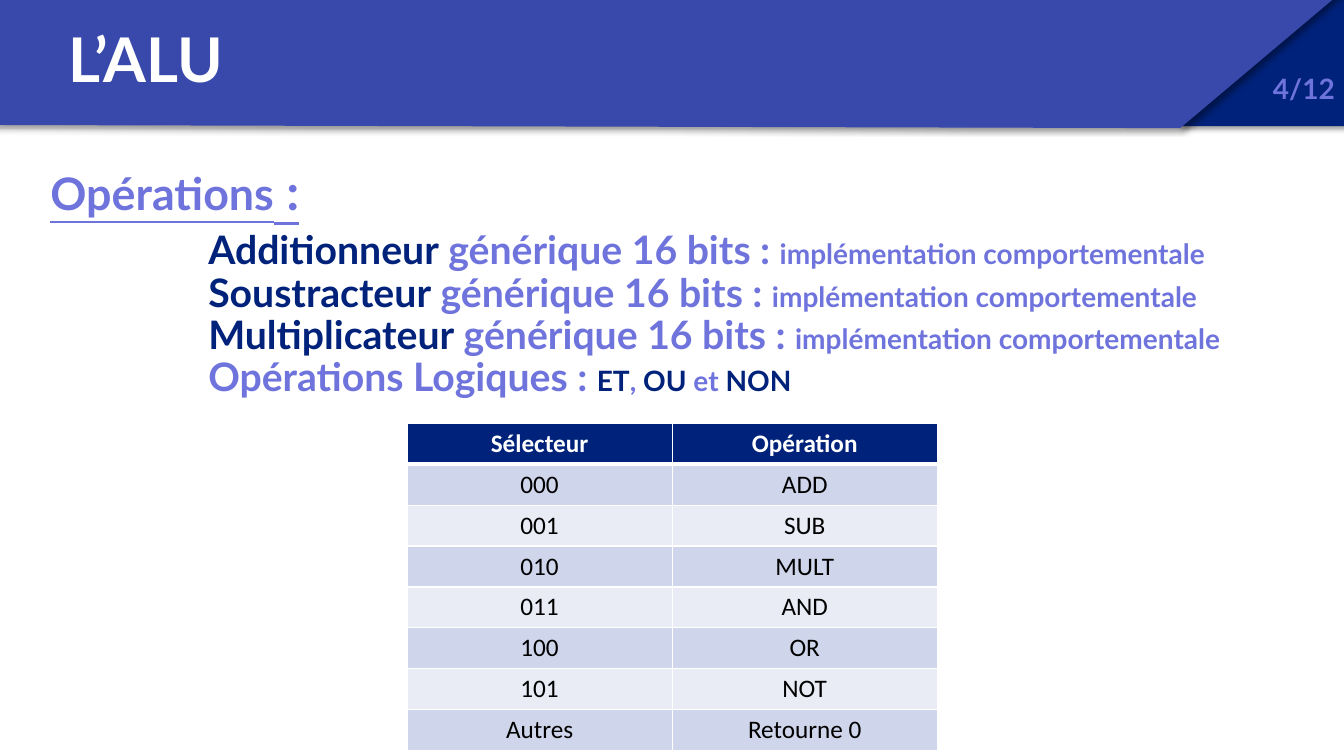
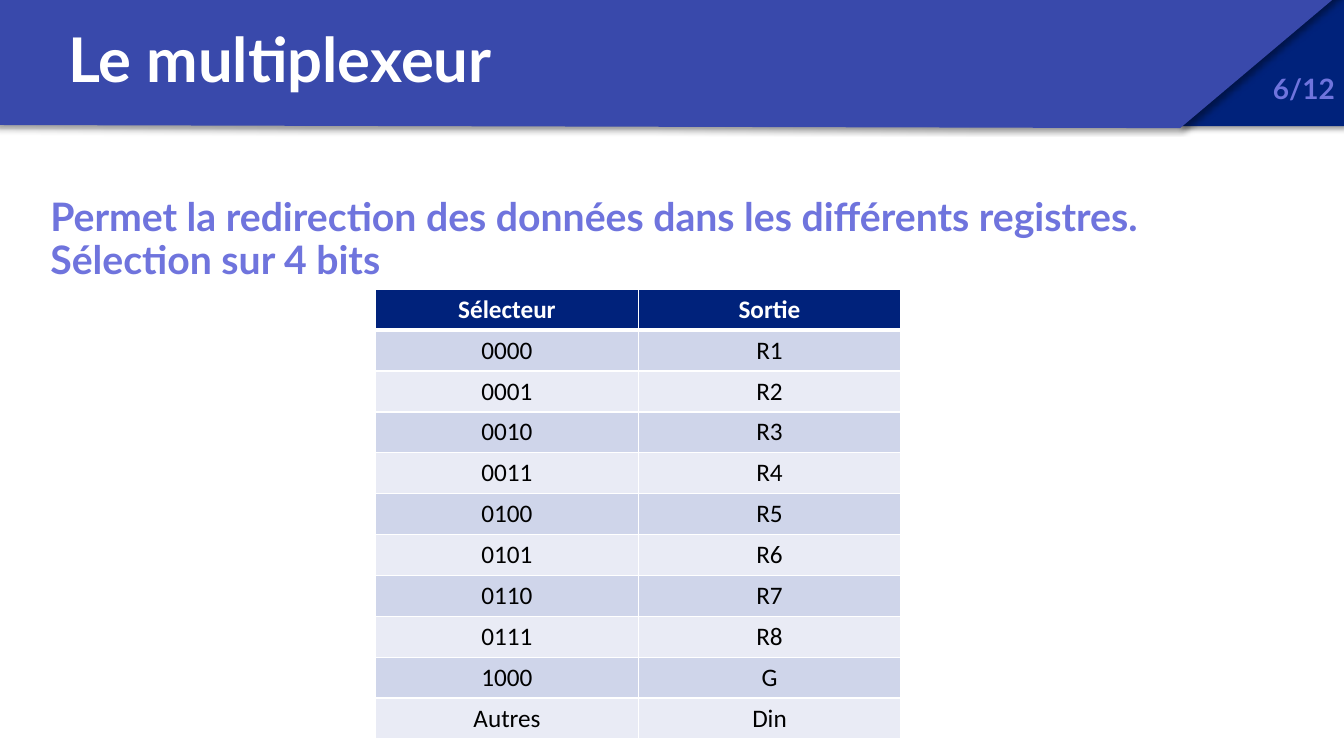
from lxml.etree import SubElement
from pptx import Presentation
from pptx.dml.color import RGBColor
from pptx.enum.text import MSO_ANCHOR, PP_ALIGN
from pptx.oxml import parse_xml
from pptx.oxml.ns import nsdecls, qn
from pptx.enum.shapes import MSO_SHAPE
from pptx.util import Cm, Pt

NAVY = RGBColor(0x00, 0x22, 0x7B)
INDIGO = RGBColor(0x39, 0x49, 0xAB)
LAVENDER = RGBColor(0x6F, 0x74, 0xDD)
WHITE = RGBColor(0xFF, 0xFF, 0xFF)
BLACK = RGBColor(0x00, 0x00, 0x00)
BANDS = (RGBColor(0xCF, 0xD5, 0xEA), RGBColor(0xE9, 0xEB, 0xF5))
HEADING_FONT = "Lato"
TABLE_FONT = "Calibri"
SLIDE_WIDTH, SLIDE_HEIGHT = Cm(33.87), Cm(19.05)
ROW_HEIGHT = Cm(1.03)
PAGE_COUNT = 12


def style_font(font, size=None, color=None, name=None, bold=None):
    if size:
        font.size = Pt(size)
    if color is not None:
        font.color.rgb = color
    if name:
        font.name = name
    if bold is not None:
        font.bold = bold


def paint_with_shadow(shape, color):
    shape.fill.solid()
    shape.fill.fore_color.rgb = color
    shape.line.fill.background()
    shape.shadow.inherit = False
    shape._element.spPr.find(qn("a:effectLst")).append(parse_xml(
        f'<a:outerShdw {nsdecls("a")} blurRad="{Pt(4)}" dist="{Pt(3)}" dir="2700000" '
        'algn="tl" rotWithShape="0"><a:srgbClr val="000000"><a:alpha val="40000"/>'
        '</a:srgbClr></a:outerShdw>'))


def add_text(slide, box, lines, size=None, color=None, align=PP_ALIGN.LEFT):
    frame = slide.shapes.add_textbox(*box).text_frame
    frame.word_wrap = True
    frame.vertical_anchor = MSO_ANCHOR.MIDDLE
    for index, line in enumerate(lines):
        paragraph = frame.paragraphs[0] if index == 0 else frame.add_paragraph()
        paragraph.alignment = align
        paragraph.line_spacing = 0.9
        style_font(paragraph.font, size, color, HEADING_FONT, True)
        for words, run_size, run_color in line:
            run = paragraph.add_run()
            run.text = words
            style_font(run.font, run_size, run_color)
    return frame


def plain(*lines):
    return [[(line, None, None)] for line in lines]


def add_header(slide, title, page):
    corner = slide.shapes.add_shape(
        MSO_SHAPE.RECTANGLE, Cm(29.72), 0, SLIDE_WIDTH - Cm(29.72), Cm(3.18))
    paint_with_shadow(corner, NAVY)
    outline = slide.shapes.build_freeform(Cm(-0.23), Cm(-0.03))
    outline.add_line_segments(
        [(Cm(-0.2), Cm(3.15)), (Cm(29.74), Cm(3.23)), (SLIDE_WIDTH, Cm(-0.25))])
    paint_with_shadow(outline.convert_to_shape(), INDIGO)
    add_text(slide, (Cm(1.47), Cm(-0.03), Cm(29.21), Cm(3.23)), plain(title), 44, WHITE)
    add_text(slide, (Cm(31.27), Cm(1.68), Cm(2.62), Cm(1.19)),
             plain(f"{page}/{PAGE_COUNT}"), 20, LAVENDER, PP_ALIGN.RIGHT)


def add_border(cell, side, width):
    border = SubElement(cell._tc.get_or_add_tcPr(), qn(f"a:{side}"), w=str(Pt(width)))
    fill = SubElement(border, qn("a:solidFill"))
    SubElement(fill, qn("a:srgbClr"), val=str(WHITE))


def add_selector_table(slide, left, top, width, rows):
    table = slide.shapes.add_table(
        len(rows), len(rows[0]), left, top, width, ROW_HEIGHT * len(rows)).table
    for row_index, row in enumerate(rows):
        is_header = row_index == 0
        for column, words in enumerate(row):
            cell = table.cell(row_index, column)
            for side in ("lnL", "lnR", "lnT", "lnB"):
                thick = (is_header and side == "lnB") or (row_index == 1 and side == "lnT")
                add_border(cell, side, 3 if thick else 1)
            cell.fill.solid()
            cell.fill.fore_color.rgb = NAVY if is_header else BANDS[(row_index - 1) % 2]
            cell.text = words
            paragraph = cell.text_frame.paragraphs[0]
            paragraph.alignment = PP_ALIGN.CENTER
            style_font(paragraph.font, 18, WHITE if is_header else BLACK,
                       TABLE_FONT, is_header)


def add_slide(deck, title, page):
    slide = deck.slides.add_slide(deck.slide_layouts[6])
    add_header(slide, title, page)
    return slide


def build_alu(deck):
    slide = add_slide(deck, "L’ALU", 4)
    heading = add_text(slide, (Cm(1.02), Cm(3.89), Cm(7.98), Cm(2.01)),
                       [[("Opérations", 32, None), (" :", 36, None)]], color=LAVENDER)
    heading.paragraphs[0].font.underline = True
    operators = [
        [(operator, 28, NAVY), (" générique 16 bits : ", 28, LAVENDER),
         ("implémentation comportementale", 20, LAVENDER)]
        for operator in ("Additionneur", "Soustracteur", "Multiplicateur")]
    logic = [("Opérations Logiques : ", 28, LAVENDER), ("ET", 20, NAVY),
             (", ", 20, LAVENDER), ("OU", 20, NAVY),
             (" et ", 20, LAVENDER), ("NON", 20, NAVY)]
    add_text(slide, (Cm(5), Cm(5.49), Cm(28.04), Cm(4.93)), operators + [logic])
    operations = ("ADD", "SUB", "MULT", "AND", "OR", "NOT")
    add_selector_table(
        slide, Cm(10.26), Cm(10.67), Cm(13.36),
        [("Sélecteur", "Opération")]
        + [(f"{code:03b}", operation) for code, operation in enumerate(operations)]
        + [("Autres", "Retourne 0")])


def build_multiplexer(deck):
    slide = add_slide(deck, "Le multiplexeur", 6)
    add_text(slide, (Cm(1.02), Cm(4.32), Cm(31.39), Cm(3.48)),
             plain("Permet la redirection des données dans les différents registres.",
                   "Sélection sur 4 bits"), 28, LAVENDER)
    outputs = [f"R{number}" for number in range(1, 9)] + ["G"]
    add_selector_table(
        slide, Cm(9.47), Cm(7.29), Cm(13.23),
        [("Sélecteur", "Sortie")]
        + [(f"{code:04b}", output) for code, output in enumerate(outputs)]
        + [("Autres", "Din")])


deck = Presentation()
deck.slide_width, deck.slide_height = SLIDE_WIDTH, SLIDE_HEIGHT
build_alu(deck)
build_multiplexer(deck)
deck.save("out.pptx")
